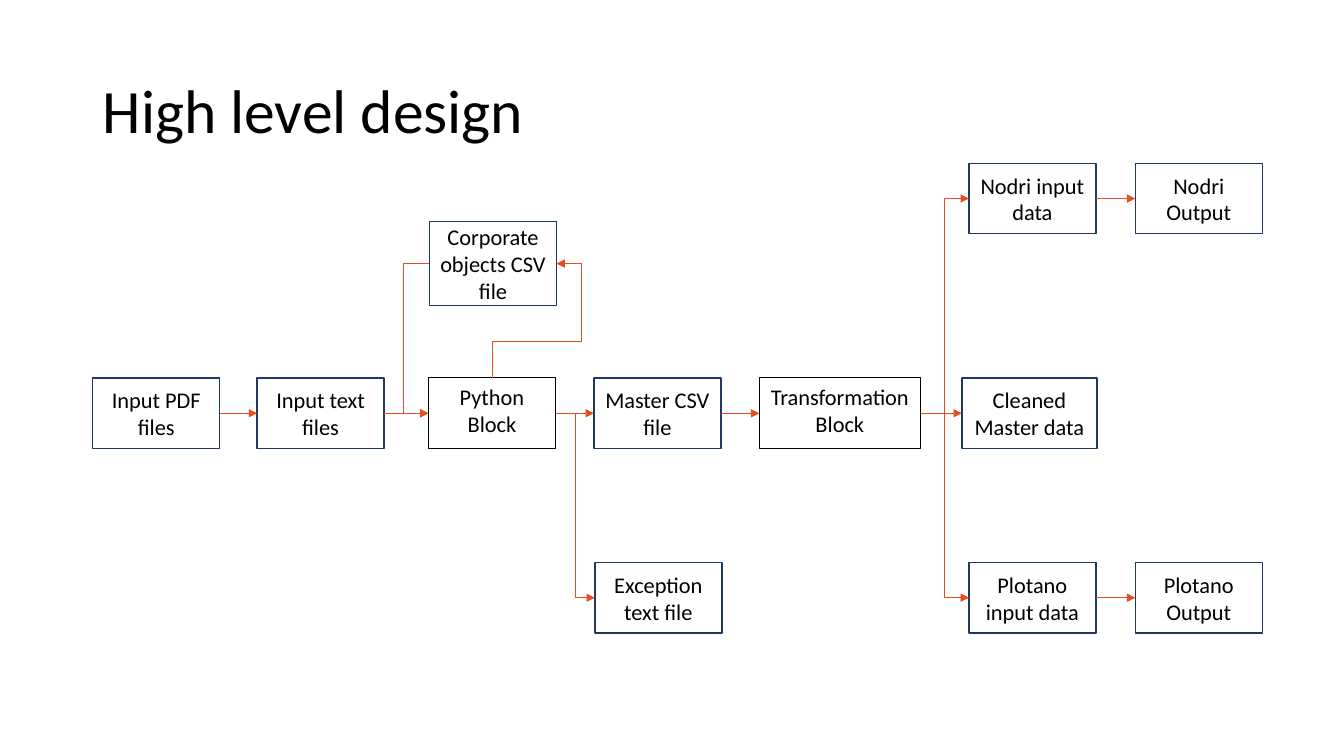
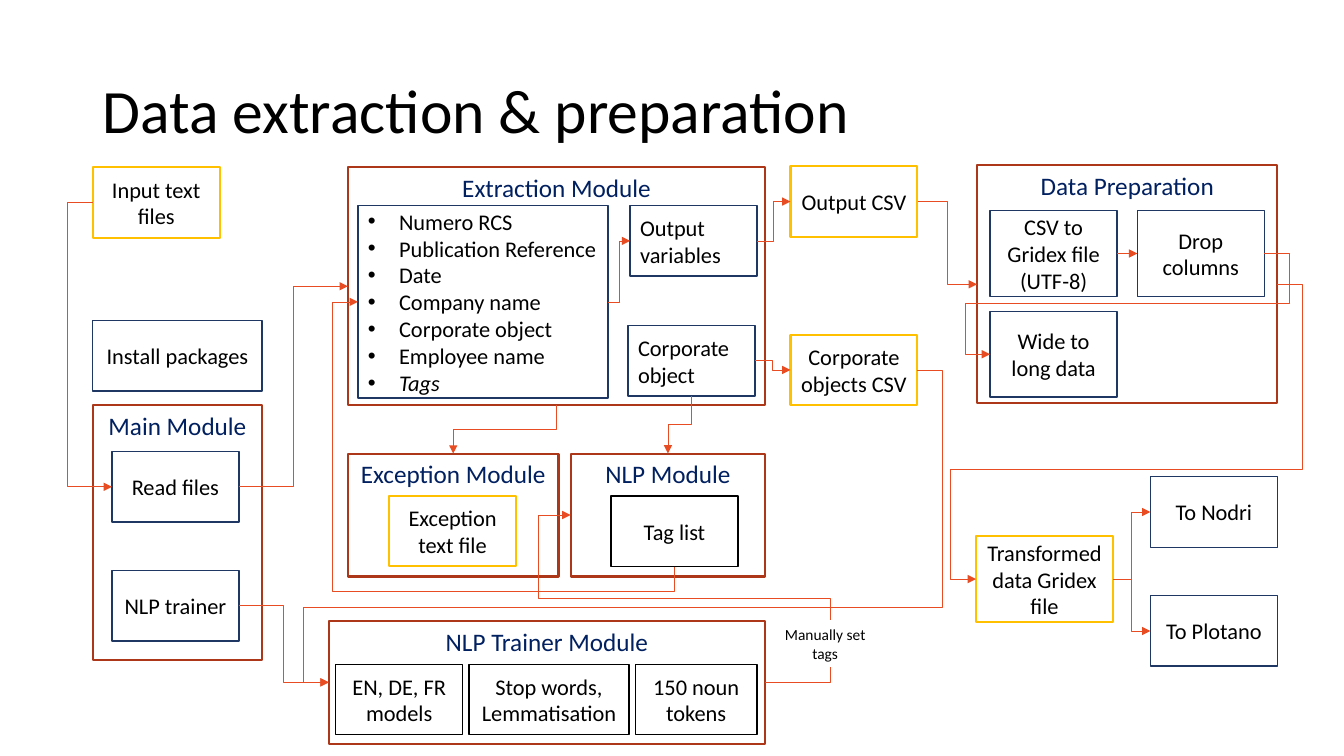
import pptx
import pptx.util
import pptx.dml.color
import pptx.enum.shapes
import pptx.enum.text
import pptx.oxml
import pptx.oxml.ns

Inches = pptx.util.Inches
Pt = pptx.util.Pt
RGB = pptx.dml.color.RGBColor
ALIGN = pptx.enum.text.PP_ALIGN
ANCHOR = pptx.enum.text.MSO_ANCHOR
KIND = pptx.enum.shapes.MSO_CONNECTOR
RECT = pptx.enum.shapes.MSO_SHAPE.RECTANGLE
qn = pptx.oxml.ns.qn

BLACK = RGB(0x00, 0x00, 0x00)
WHITE = RGB(0xFF, 0xFF, 0xFF)
NAVY = RGB(0x1F, 0x37, 0x63)
INK = RGB(0x00, 0x20, 0x60)
GOLD = RGB(0xFF, 0xC0, 0x00)
RUST = RGB(0xAC, 0x38, 0x19)
ORANGE = RGB(0xE8, 0x4C, 0x22)
TOP, LEFT, BOTTOM, RIGHT = range(4)
WIDE, HIGH, TALL = 1.26, 0.7, 0.85


def node(tag, **attrs):
    item = pptx.oxml.parse_xml(f"<a:{tag} {pptx.oxml.ns.nsdecls('a')}/>")
    for name, value in attrs.items():
        item.set(name, str(value))
    return item


class Deck:
    font = "Calibri"

    def __init__(self):
        self.show = pptx.Presentation()
        self.show.slide_width = Inches(13.33)
        self.show.slide_height = Inches(7.5)

    def page(self, title):
        self.slide = self.show.slides.add_slide(self.show.slide_layouts[6])
        head = self.slide.shapes.add_textbox(
            Inches(0.92), Inches(0.4), Inches(11.5), Inches(1.45))
        self.label(head, title, 44, BLACK, ALIGN.LEFT, ANCHOR.MIDDLE)
        head.text_frame.paragraphs[0].line_spacing = 0.9

    def label(self, shape, text, size, color, align, anchor):
        frame = shape.text_frame
        frame.word_wrap = True
        frame.vertical_anchor = anchor
        frame.text = text
        for para in frame.paragraphs:
            para.alignment = align
            for run in para.runs:
                run.font.name = self.font
                run.font.size = Pt(size)
                run.font.color.rgb = color

    def box(self, text, x, y, w=WIDE, h=HIGH, line=NAVY, weight=1, fill=WHITE,
            size=16, color=BLACK, align=ALIGN.CENTER, anchor=ANCHOR.MIDDLE):
        shape = self.slide.shapes.add_shape(
            RECT, Inches(x), Inches(y), Inches(w), Inches(h))
        shape.shadow.inherit = False
        if fill is None:
            shape.fill.background()
        else:
            shape.fill.solid()
            shape.fill.fore_color.rgb = fill
        shape.line.color.rgb = line
        shape.line.width = Pt(weight)
        self.label(shape, text, size, color, align, anchor)
        return shape

    def store(self, text, x, y, w=WIDE, h=HIGH):
        return self.box(text, x, y, w, h, line=GOLD, weight=1.5)

    def block(self, text, x, w):
        return self.box(text, x, 3.75, w, line=BLACK, weight=0.75,
                        anchor=ANCHOR.TOP)

    def frame(self, text, x, y, w, h):
        return self.box(text, x, y, w, h, line=RUST, weight=1.5, fill=None,
                        size=18, color=INK, anchor=ANCHOR.TOP)

    def points(self, items, x, y, w, h):
        shape = self.box("\n".join(items), x, y, w, h, align=ALIGN.LEFT)
        for para in shape.text_frame.paragraphs:
            props = para._p.get_or_add_pPr()
            props.set("marL", str(Inches(0.31)))
            props.set("indent", str(-Inches(0.31)))
            props.append(node("buFont", typeface="Arial"))
            props.append(node("buChar", char="•"))
        return shape

    def link(self, start, out, end, into, *bends):
        line = self.slide.shapes.add_connector(KIND.STRAIGHT, 0, 0, 0, 0)
        line.begin_connect(start, out)
        line.end_connect(end, into)
        line.line.color.rgb = ORANGE
        line.line.width = Pt(0.5)
        line.line._get_or_add_ln().append(node("tailEnd", type="triangle"))
        props = line._element.spPr
        props.append(node("effectLst"))
        if bends or abs(line.end_y - line.begin_y) > Inches(0.03):
            self.bend(line, out in (TOP, BOTTOM), bends)

    def bend(self, line, upright, bends):
        first = (line.begin_x, line.begin_y)
        last = (line.end_x, line.end_y)
        dx, dy = last[0] - first[0], last[1] - first[1]
        props = line._element.spPr
        form = props.find(qn("a:xfrm"))
        if upright:
            line.left = (first[0] + last[0] - abs(dy)) // 2
            line.top = (first[1] + last[1] - abs(dx)) // 2
            line.width, line.height = abs(dy), abs(dx)
            form.set("rot", "5400000")
            form.set("flipH", str(int(dy < 0)))
            form.set("flipV", str(int(dx > 0)))
        shape = props.find(qn("a:prstGeom"))
        shape.set("prst", f"bentConnector{max(len(bends), 1) + 2}")
        for old in list(shape):
            shape.remove(old)
        guides = node("avLst")
        shape.append(guides)
        for i, place in enumerate(bends):
            axis = (i + upright) % 2
            part = (Inches(place) - first[axis]) / (last[axis] - first[axis])
            guides.append(node("gd", name=f"adj{i + 1}" if len(bends) > 1
                               else "adj1", fmla=f"val {round(part * 100000)}"))


def design(deck):
    deck.page("High level design")
    row, low, high = 3.75, 5.58, 1.62
    pdf = deck.box("Input PDF files", 0.92, row)
    text = deck.box("Input text files", 2.55, row)
    code = deck.block("Python Block", 4.25, WIDE)
    master = deck.box("Master CSV file", 5.89, row)
    change = deck.block("Transformation Block", 7.53, 1.6)
    clean = deck.box("Cleaned Master data", 9.54, row, 1.34)
    error = deck.box("Exception text file", 5.9, low)
    corp = deck.box("Corporate objects CSV file", 4.26, 2.2, h=0.83)
    chain = [pdf, text, code, master, change, clean]
    for start, end in zip(chain, chain[1:]):
        deck.link(start, RIGHT, end, LEFT)
    for name, y in (("Nodri", high), ("Plotano", low)):
        data = deck.box(f"{name} input data", 9.61, y)
        result = deck.box(f"{name} Output", 11.26, y)
        deck.link(change, RIGHT, data, LEFT)
        deck.link(data, RIGHT, result, LEFT)
    deck.link(code, RIGHT, error, LEFT)
    deck.link(code, TOP, corp, RIGHT, 3.39, 5.77)
    deck.link(corp, LEFT, code, LEFT, 4)


def detail(deck):
    deck.page("Data extraction & preparation")
    source = deck.store("Input text files", 0.92, 1.66)
    deck.box("Install packages", 0.92, 3.18, 1.68)
    deck.frame("Main Module", 0.92, 4.02, 1.68, 2.53)
    reader = deck.box("Read files", 1.11, 4.48)
    train = deck.box("NLP trainer", 1.11, 5.66)

    extract = deck.frame("Extraction Module", 3.45, 1.66, 4.14, 2.36)
    fields = deck.points(
        ["Numero RCS", "Publication Reference", "Date", "Company name",
         "Corporate object", "Employee name", "Tags"], 3.55, 2.04, 2.48, 1.91)
    fields.text_frame.paragraphs[-1].runs[0].font.italic = True
    values = deck.box("Output variables", 6.25, 2.04, align=ALIGN.LEFT)
    corp = deck.box("Corporate object", 6.23, 3.23, align=ALIGN.LEFT)
    output = deck.store("Output CSV", 7.84, 1.65)
    objects = deck.store("Corporate objects CSV", 7.84, 3.32)

    error = deck.frame("Exception Module", 3.45, 4.5, 2.09, 1.22)
    deck.store("Exception text file", 3.86, 4.92)
    speech = deck.frame("NLP Module", 5.66, 4.5, 1.93, 1.22)
    tags = deck.box("Tag list", 6.06, 4.92, line=BLACK)
    trainer = deck.frame("NLP Trainer Module", 3.26, 6.16, 4.33, 1.22)
    x = 3.33
    for label, w in (("EN, DE, FR models", WIDE),
                     ("Stop words, Lemmatisation", 1.59),
                     ("150 noun tokens", 1.21)):
        deck.box(label, x, 6.59, w, line=BLACK)
        x += w + 0.06

    prepare = deck.frame("Data Preparation", 9.69, 1.64, 2.98, 2.36)
    sheet = deck.box("CSV to Gridex file\n(UTF-8)", 9.82, 2.09, h=TALL)
    drop = deck.box("Drop columns", 11.28, 2.09, h=TALL)
    long = deck.box("Wide to long data", 9.82, 3.09, h=TALL)
    final = deck.store("Transformed data Gridex file", 9.68, 5.32, 1.36, TALL)
    for label, y in (("To Nodri", 4.73), ("To Plotano", 5.91)):
        deck.link(final, RIGHT, deck.box(label, 11.41, y), LEFT)

    deck.link(source, LEFT, reader, LEFT, 0.67)
    deck.link(reader, RIGHT, extract, LEFT)
    deck.link(train, RIGHT, trainer, LEFT)
    deck.link(fields, RIGHT, values, LEFT)
    deck.link(values, RIGHT, output, LEFT)
    deck.link(corp, RIGHT, objects, LEFT)
    deck.link(extract, BOTTOM, error, TOP)
    deck.link(corp, BOTTOM, speech, TOP)
    deck.link(tags, BOTTOM, fields, LEFT, 5.87, 3.3)
    deck.link(objects, RIGHT, trainer, LEFT, 9.35, 6.03, 3.01)
    deck.link(trainer, RIGHT, speech, LEFT, 8.24, 5.94, 5.34)
    deck.link(output, RIGHT, prepare, LEFT)
    deck.link(sheet, RIGHT, drop, LEFT)
    deck.link(drop, RIGHT, long, LEFT, 12.79, 3.01, 9.57)
    deck.link(prepare, RIGHT, final, LEFT, 12.92, 4.66, 9.43)
    deck.box("Manually set tags", 7.67, 6.16, 1.03, 0.45, line=WHITE, size=11)


def main():
    deck = Deck()
    design(deck)
    detail(deck)
    deck.show.save("out.pptx")


if __name__ == "__main__":
    main()
